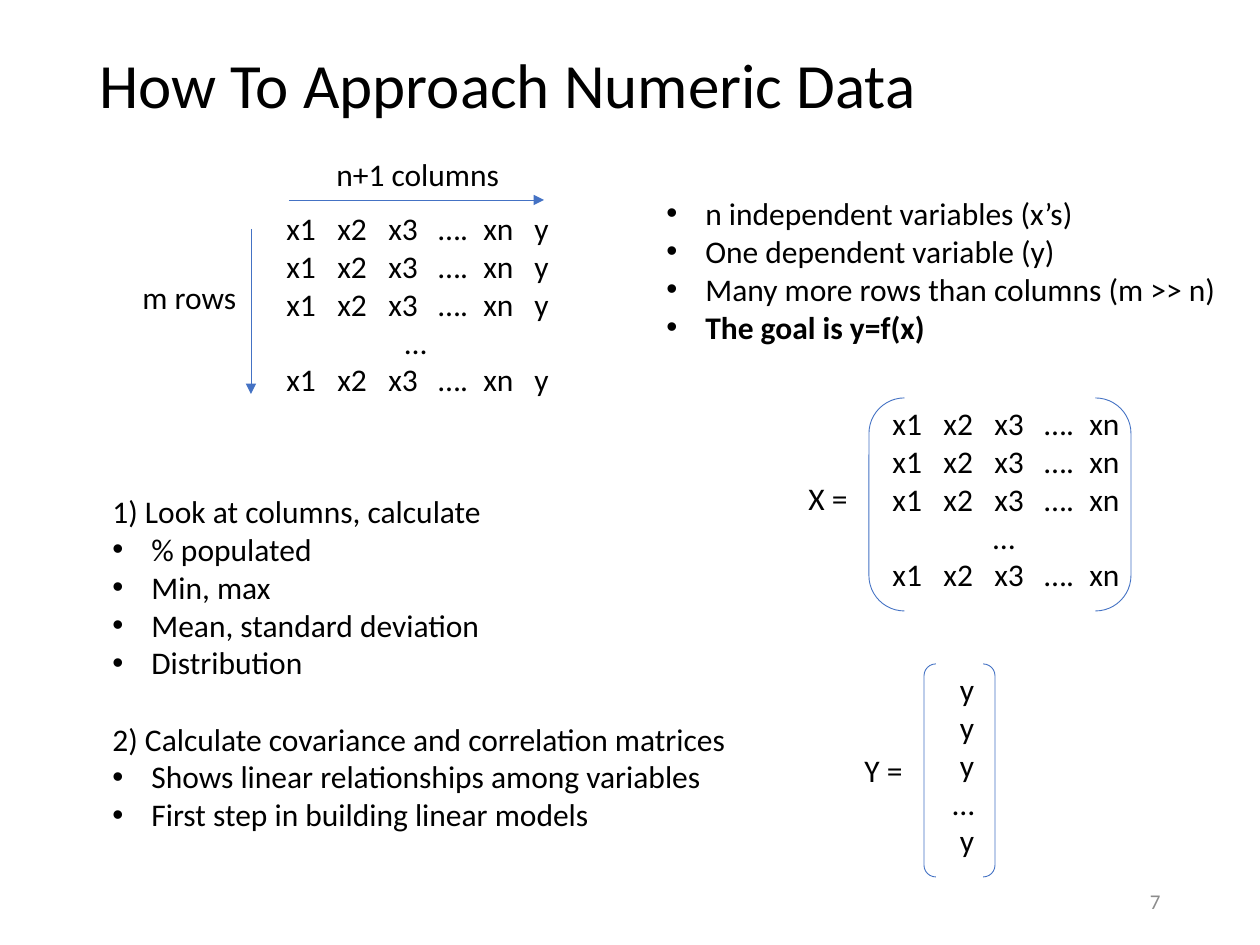
from lxml import etree
from pptx import Presentation
from pptx.dml.color import RGBColor
from pptx.enum.shapes import MSO_CONNECTOR, MSO_SHAPE
from pptx.enum.text import MSO_ANCHOR, PP_ALIGN
from pptx.oxml.ns import qn
from pptx.util import Pt

LEFT, CENTER, RIGHT = PP_ALIGN.LEFT, PP_ALIGN.CENTER, PP_ALIGN.RIGHT
TOP, MIDDLE = MSO_ANCHOR.TOP, MSO_ANCHOR.MIDDLE
STRAIGHT = MSO_CONNECTOR.STRAIGHT
BRACKETS = MSO_SHAPE.DOUBLE_BRACKET
COLORS = {"text": "000000", "line": "4472C4", "muted": "8C8C8C"}
FONT = "Calibri"
INDENT = 39
TABS = (51, 102, 152, 197, 248)


def px(n):
    return round(n * 914400 / 126)


class Deck:
    def __init__(self, width, height):
        self.prs = Presentation()
        self.prs.slide_width, self.prs.slide_height = px(width), px(height)
        self.s = self.prs.slides.add_slide(self.prs.slide_layouts[6])

    def text(self, box, lines, size=18, color="text", align=LEFT, anchor=TOP, wrap=False):
        tf = self.s.shapes.add_textbox(*map(px, box)).text_frame
        tf.word_wrap = wrap
        tf.vertical_anchor = anchor
        tf.text = "\n".join(lines)
        for p in tf.paragraphs:
            p.alignment = align
            for r in p.runs:
                r.font.name, r.font.size = FONT, Pt(size)
                r.font.color.rgb = RGBColor.from_string(COLORS[color])
        return tf.paragraphs

    def bullets(self, paragraphs):
        for p in paragraphs:
            pPr = p._p.get_or_add_pPr()
            pPr.set("marL", str(px(INDENT)))
            pPr.set("indent", str(px(-INDENT)))
            etree.SubElement(pPr, qn("a:buFont")).set("typeface", "Arial")
            etree.SubElement(pPr, qn("a:buChar")).set("char", "•")

    def matrix(self, box, names):
        row = "\t".join(names)
        for p in self.text(box, [row] * 3 + ["… ", row], align=CENTER, wrap=len(names) > 1):
            if "\t" in p.text:
                p.alignment = LEFT
                tabs = etree.SubElement(p._p.get_or_add_pPr(), qn("a:tabLst"))
                for stop in TABS[:len(names) - 1]:
                    etree.SubElement(tabs, qn("a:tab"), pos=str(px(stop)), algn="l")

    def stroke(self, line):
        line.color.rgb = RGBColor.from_string(COLORS["line"])
        line.width = Pt(0.5)

    def arrow(self, *ends):
        c = self.s.shapes.add_connector(STRAIGHT, *map(px, ends))
        self.stroke(c.line)
        etree.SubElement(c.line._get_or_add_ln(), qn("a:tailEnd")).set("type", "triangle")
        etree.SubElement(c._element.spPr, qn("a:effectLst"))

    def brackets(self, *box):
        sp = self.s.shapes.add_shape(BRACKETS, *map(px, box))
        sp.shadow.inherit = False
        sp.fill.background()
        self.stroke(sp.line)


def main():
    deck = Deck(1260, 945)
    title = deck.text((87, -3, 1086, 183), ["How To Approach Numeric Data"],
                      size=36, anchor=MIDDLE, wrap=True)
    title[0].line_spacing = 0.9
    deck.text((890, 876, 283, 50), ["7"], size=12, color="muted",
              align=RIGHT, anchor=MIDDLE, wrap=True)

    steps = deck.text((100, 486, 646, 357), [
        "1) Look at columns, calculate",
        "% populated",
        "Min, max",
        "Mean, standard deviation",
        "Distribution",
        "2) Calculate covariance and correlation matrices",
        "Shows linear relationships among variables",
        "First step in building linear models",
    ])
    deck.bullets(steps[1:5] + steps[6:])
    steps[5].space_before = Pt(22)

    facts = deck.text((654, 188, 581, 165), [
        "n independent variables (x’s)",
        "One dependent variable (y)",
        "Many more rows than columns (m >> n)",
        "The goal is y=f(x)",
    ])
    deck.bullets(facts)
    facts[-1].runs[0].font.bold = True

    inputs = ["x1", "x2", "x3", "….", "xn"]
    deck.text((324, 149, 190, 50), ["n+1 columns"])
    deck.arrow(289, 200, 544, 200)
    deck.arrow(251, 229, 251, 394)
    deck.text((130, 272, 120, 50), ["m rows"])
    deck.matrix((274, 203, 291, 204), inputs + ["y"])

    deck.matrix((880, 398, 255, 204), inputs)
    deck.text((796, 473, 66, 50), ["X ="])
    deck.brackets(869, 398, 262, 213)

    deck.matrix((940, 664, 54, 204), ["y"])
    deck.text((852, 745, 64, 50), ["Y ="])
    deck.brackets(924, 664, 71, 213)

    deck.prs.save("out.pptx")


if __name__ == "__main__":
    main()
